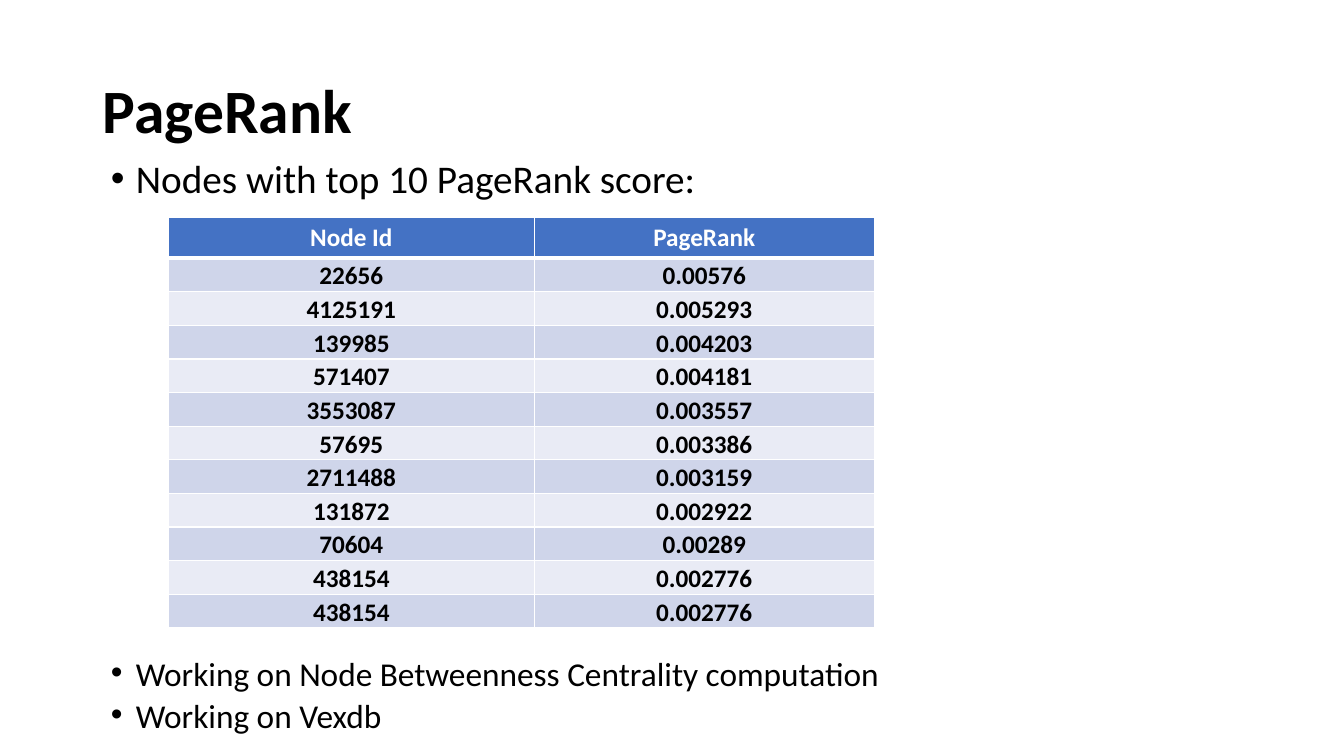
"""Build the PageRank results slide."""
import pptx
import pptx.dml.color
import pptx.enum.text
import pptx.oxml
import pptx.oxml.ns
import pptx.util
from pptx.util import Inches

FONT = "Calibri"
COLORS = {"text": "000000", "white": "FFFFFF", "header": "4472C4",
          "odd": "CFD5EA", "even": "E9EBF5"}
TITLE = "PageRank"
INTRO = ["Nodes with top 10 PageRank score:"]
NEXT_STEPS = ["Working on Node Betweenness Centrality computation ", "Working on Vexdb"]
SCORES = [
    ("Node Id", "PageRank"),
    ("22656", "0.00576"),
    ("4125191", "0.005293"),
    ("139985", "0.004203"),
    ("571407", "0.004181"),
    ("3553087", "0.003557"),
    ("57695", "0.003386"),
    ("2711488", "0.003159"),
    ("131872", "0.002922"),
    ("70604", "0.00289"),
    ("438154", "0.002776"),
    ("438154", "0.002776"),
]
COLUMN_WIDTHS = (3.63, 3.37)
TABLE_HEIGHT, HEADER_HEIGHT = 4.07, 0.4
ROW_HEIGHT = (TABLE_HEIGHT - HEADER_HEIGHT) / (len(SCORES) - 1)
ANCHOR = pptx.enum.text.MSO_ANCHOR


def rgb(name):
    return pptx.dml.color.RGBColor.from_string(COLORS[name])


def format_runs(paragraph, size, color="text", bold=False):
    for run in paragraph.runs:
        run.font.name = FONT
        run.font.size = pptx.util.Pt(size)
        run.font.bold = bold
        run.font.color.rgb = rgb(color)


def add_text(slide, box, lines, size, spacing, bold=False, bullets=False, anchor=ANCHOR.TOP):
    text_frame = slide.shapes.add_textbox(*map(Inches, box)).text_frame
    text_frame.word_wrap = True
    text_frame.vertical_anchor = anchor
    text_frame.text = "\n".join(lines)
    for paragraph in text_frame.paragraphs:
        paragraph.line_spacing = spacing
        format_runs(paragraph, size, bold=bold)
        if bullets:
            paragraph.space_before = pptx.util.Pt(10)
            add_bullet(paragraph)


def add_bullet(paragraph):
    properties = paragraph._p.get_or_add_pPr()
    properties.set("marL", str(Inches(0.25)))
    properties.set("indent", str(Inches(-0.25)))
    namespace = pptx.oxml.ns.nsdecls("a")
    properties.append(pptx.oxml.parse_xml(f'<a:buFont {namespace} typeface="Arial"/>'))
    properties.append(pptx.oxml.parse_xml(f'<a:buChar {namespace} char="•"/>'))


def set_borders(cell, widths):
    properties = cell._tc.get_or_add_tcPr()
    for position, (side, width) in enumerate(widths.items()):
        properties.insert(position, pptx.oxml.parse_xml(
            f'<a:{side} {pptx.oxml.ns.nsdecls("a")} w="{pptx.util.Pt(width)}"><a:solidFill>'
            f'<a:srgbClr val="{COLORS["white"]}"/></a:solidFill></a:{side}>'))


def style_cell(cell, row):
    is_header = row == 0
    fill = "header" if is_header else "odd" if row % 2 else "even"
    cell.fill.solid()
    cell.fill.fore_color.rgb = rgb(fill)
    set_borders(cell, {"lnL": 1, "lnR": 1, "lnT": 3 if row == 1 else 1,
                       "lnB": 3 if is_header else 1})
    if not is_header:
        cell.vertical_anchor = ANCHOR.BOTTOM
        cell.margin_left = cell.margin_right = cell.margin_top = Inches(0.01)
        cell.margin_bottom = 0
    paragraph = cell.text_frame.paragraphs[0]
    paragraph.alignment = pptx.enum.text.PP_ALIGN.CENTER
    format_runs(paragraph, 18, "white" if is_header else "text", bold=True)


def add_score_table(slide, left, top):
    table = slide.shapes.add_table(
        len(SCORES), len(COLUMN_WIDTHS),
        *map(Inches, (left, top, sum(COLUMN_WIDTHS), TABLE_HEIGHT))).table
    for column, width in zip(table.columns, COLUMN_WIDTHS):
        column.width = Inches(width)
    for row, values in enumerate(SCORES):
        table.rows[row].height = Inches(ROW_HEIGHT if row else HEADER_HEIGHT)
        for column, value in enumerate(values):
            cell = table.cell(row, column)
            cell.text_frame.text = value
            style_cell(cell, row)


presentation = pptx.Presentation()
presentation.slide_width = Inches(13.33)
presentation.slide_height = Inches(7.5)
slide = presentation.slides.add_slide(presentation.slide_layouts[6])
add_text(slide, (0.92, 0.4, 11.5, 1.45), [TITLE], 44, 0.9, bold=True, anchor=ANCHOR.MIDDLE)
add_score_table(slide, 1.67, 2.16)
add_text(slide, (1, 1.53, 10.81, 0.82), INTRO, 28, 0.9, bullets=True)
add_text(slide, (1, 6.54, 10.81, 0.82), NEXT_STEPS, 23.8, 0.7, bullets=True)
presentation.save("out.pptx")
